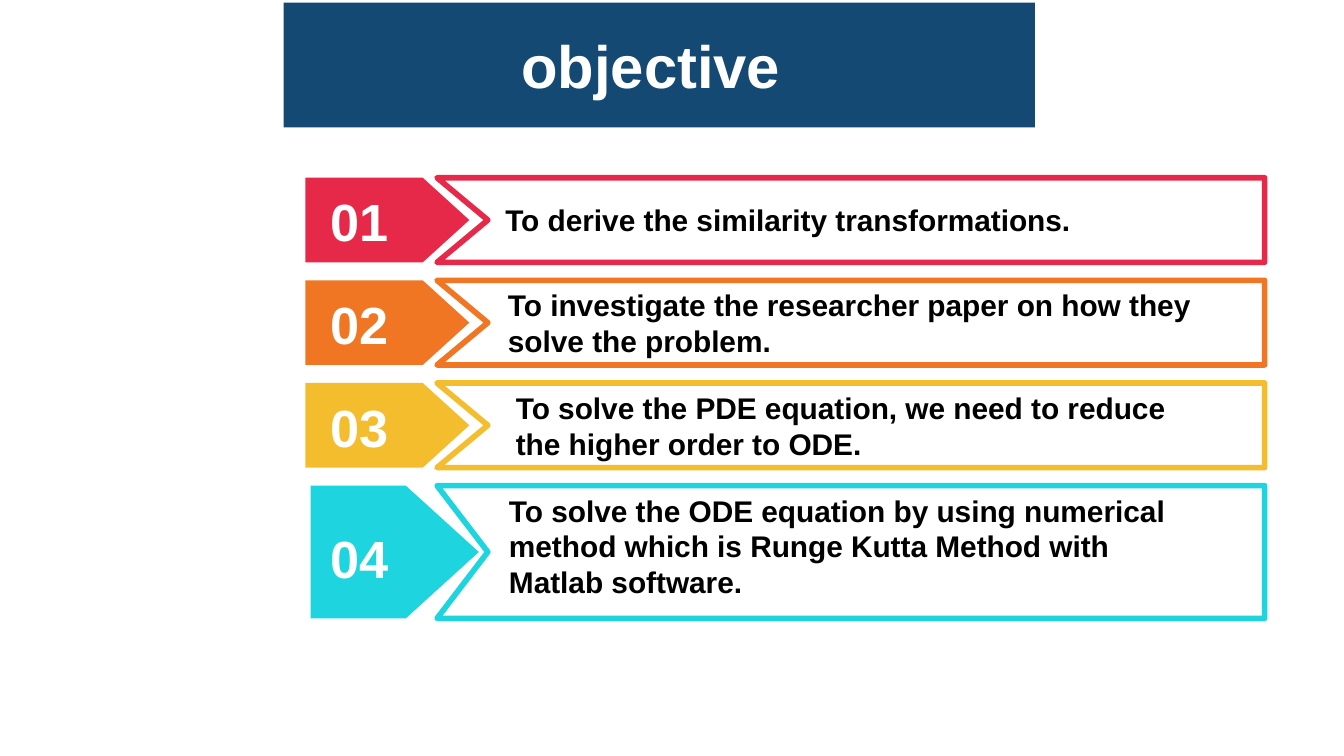
from pptx import Presentation
from pptx.dml.color import RGBColor
from pptx.enum import shapes, text
from pptx.util import Cm, Pt

COLORS = {
    "navy": "144973", "red": "E62949", "orange": "F07624",
    "yellow": "F4BD2D", "cyan": "1ED4DE", "white": "FFFFFF", "black": "000000",
}

# colour, height, tag left, tag width, number drop, goal left, goal drop, goal
OBJECTIVES = [
    ("red", 1.6, 5.77, 3.1, 0.22, 9.3, 0.33,
     "To derive the similarity transformations."),
    ("orange", 1.6, 5.77, 3.1, 0.22, 9.35, 0,
     "To investigate the researcher paper on how they solve the problem."),
    ("yellow", 1.6, 5.77, 3.1, 0.22, 9.5, 0,
     "To solve the PDE equation, we need to reduce the higher order to ODE."),
    ("cyan", 2.51, 5.87, 3.18, 0.76, 9.37, 0,
     "To solve the ODE equation by using numerical method which is "
     "Runge Kutta Method with Matlab software."),
]
FIRST_TOP, PITCH = 3.36, 1.94
FRAME_LEFT, FRAME_RIGHT, NOTCH = 8.26, 23.9, 9.22


class SlideBuilder:
    """Holds the slide and its style; one method per kind of element."""

    font_name = "Arial"

    def __init__(self, slide):
        self.slide = slide

    def color(self, name):
        return RGBColor.from_string(COLORS[name])

    def paint(self, shape, fill, line=None):
        shape.shadow.inherit = False
        shape.fill.solid()
        shape.fill.fore_color.rgb = self.color(fill)
        if line:
            shape.line.color.rgb = self.color(line)
            shape.line.width = Pt(3)
        else:
            shape.line.fill.background()

    def set_text(self, frame, words, size, color):
        frame.text = words
        frame.word_wrap = True
        font = frame.paragraphs[0].font
        font.name, font.size, font.bold = self.font_name, Pt(size), True
        font.color.rgb = self.color(color)

    def title(self, words, left, top, width, height):
        banner = self.slide.shapes.title
        banner.left, banner.top = Cm(left), Cm(top)
        banner.width, banner.height = Cm(width), Cm(height)
        banner.fill.solid()
        banner.fill.fore_color.rgb = self.color("navy")
        self.set_text(banner.text_frame, words, 32, "white")
        banner.text_frame.vertical_anchor = text.MSO_ANCHOR.MIDDLE
        banner.text_frame.paragraphs[0].alignment = text.PP_ALIGN.CENTER

    def tag(self, color, left, top, width, height):
        pentagon = self.slide.shapes.add_shape(
            shapes.MSO_SHAPE.PENTAGON, Cm(left), Cm(top), Cm(width), Cm(height))
        pentagon.adjustments[0] = 0.55
        self.paint(pentagon, color)

    def notched_frame(self, color, top, height):
        bottom = top + height
        outline = self.slide.shapes.build_freeform(Cm(FRAME_LEFT), Cm(top))
        corners = [(FRAME_RIGHT, top), (FRAME_RIGHT, bottom),
                   (FRAME_LEFT, bottom), (NOTCH, top + height / 2)]
        outline.add_line_segments([(Cm(x), Cm(y)) for x, y in corners], close=True)
        self.paint(outline.convert_to_shape(), "white", color)

    def number(self, words, left, top):
        box = self.slide.shapes.add_textbox(Cm(left), Cm(top), Cm(1.68), Cm(1.19))
        frame = box.text_frame
        frame.margin_top = frame.margin_bottom = 0
        frame.vertical_anchor = text.MSO_ANCHOR.MIDDLE
        self.set_text(frame, words, 28, "white")

    def goal(self, words, left, top, height):
        box = self.slide.shapes.add_textbox(Cm(left), Cm(top), Cm(13.46), Cm(height))
        self.set_text(box.text_frame, words, 16, "black")


def main():
    deck = Presentation()
    deck.slide_width, deck.slide_height = Cm(25.4), Cm(14.29)
    builder = SlideBuilder(deck.slides.add_slide(deck.slide_layouts[5]))

    # Title banner
    builder.title("objective ", 5.36, 0.05, 14.2, 2.36)

    # Numbered objectives
    for index, objective in enumerate(OBJECTIVES):
        (color, height, tag_left, tag_width,
         number_drop, goal_left, goal_drop, goal) = objective
        top = FIRST_TOP + index * PITCH
        builder.tag(color, tag_left, top, tag_width, height)
        builder.notched_frame(color, top, height)
        builder.number(f"{index + 1:02}", 5.99, top + number_drop)
        builder.goal(goal, goal_left, top + goal_drop, height - 2 * goal_drop)

    deck.save("out.pptx")


if __name__ == "__main__":
    main()
